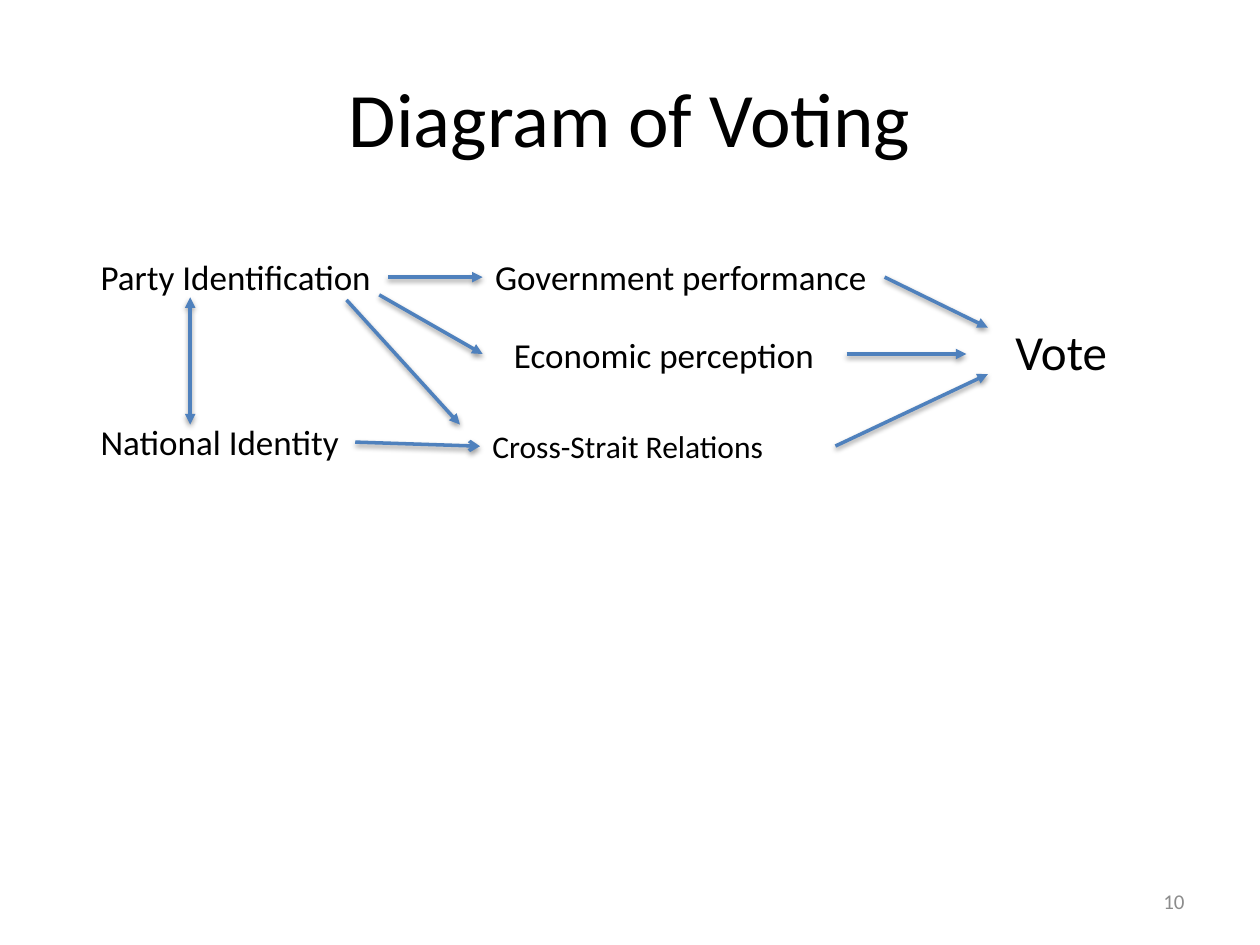
import pptx
import pptx.dml.color
import pptx.enum.shapes
import pptx.enum.text
import pptx.oxml
import pptx.oxml.ns
import pptx.util
from dataclasses import dataclass

Pt = pptx.util.Pt
RGB = pptx.dml.color.RGBColor
ALIGN = pptx.enum.text.PP_ALIGN
ANCHOR = pptx.enum.text.MSO_ANCHOR
TOP, LEFT, BOTTOM, RIGHT = range(4)


@dataclass(frozen=True)
class Theme:
    font: str = "Calibri"
    ink: str = "000000"
    muted: str = "8C8C8C"
    accent: str = "4F81BD"
    title: int = 44
    outcome: int = 28
    label: int = 20
    small_label: int = 18
    footer: int = 12
    line: int = 2


class Deck:
    def __init__(self, theme):
        self.theme = theme
        self.prs = pptx.Presentation()
        self.prs.slide_width, self.prs.slide_height = Pt(720), Pt(540)
        self.s = self.prs.slides.add_slide(self.prs.slide_layouts[6])

    def text(self, words, box, size, color=None, align=ALIGN.LEFT,
             anchor=ANCHOR.MIDDLE):
        sp = self.s.shapes.add_textbox(*map(Pt, box))
        tf = sp.text_frame
        tf.word_wrap = True
        tf.vertical_anchor = anchor
        p = tf.paragraphs[0]
        p.alignment = align
        r = p.add_run()
        r.text = words
        r.font.name, r.font.size = self.theme.font, Pt(size)
        r.font.color.rgb = RGB.from_string(color or self.theme.ink)
        return sp

    def label(self, words, box, size):
        """One-line text whose box fits the words."""
        sp = self.text(words, box, size, anchor=ANCHOR.TOP)
        sp.text_frame.word_wrap = False
        sp.text_frame.auto_size = pptx.enum.text.MSO_AUTO_SIZE.SHAPE_TO_FIT_TEXT
        return sp

    def arrow(self, start, end, tail="triangle", head=None):
        """Each end is an (x, y) point or a (shape, side) pair."""
        joins = [not isinstance(e[0], (int, float)) for e in (start, end)]
        points = [(0, 0) if j else e for j, e in zip(joins, (start, end))]
        c = self.s.shapes.add_connector(
            pptx.enum.shapes.MSO_CONNECTOR.STRAIGHT,
            *(Pt(v) for point in points for v in point))
        if joins[0]:
            c.begin_connect(*start)
        if joins[1]:
            c.end_connect(*end)
        c.line.color.rgb = RGB.from_string(self.theme.accent)
        c.line.width = Pt(self.theme.line)
        ns = pptx.oxml.ns.nsdecls("a")
        ln = c.line._get_or_add_ln()
        for tag, kind in (("headEnd", head), ("tailEnd", tail)):
            if kind:
                ln.append(pptx.oxml.parse_xml(f'<a:{tag} {ns} type="{kind}"/>'))
        # Soft shadow straight below the line
        c._element.spPr.append(pptx.oxml.parse_xml(
            f'<a:effectLst {ns}><a:outerShdw blurRad="{Pt(3.1)}" '
            f'dist="{Pt(1.6)}" dir="5400000" rotWithShape="0">'
            '<a:srgbClr val="000000"><a:alpha val="38000"/></a:srgbClr>'
            '</a:outerShdw></a:effectLst>'))
        return c


def main():
    t = Theme()
    d = Deck(t)

    # Title and slide number
    d.text("Diagram of Voting", (36, 21.6, 648, 90), t.title, align=ALIGN.CENTER)
    d.text("10", (516, 500.4, 168, 28.8), t.footer, t.muted, ALIGN.RIGHT)

    # Causes, factors and outcome
    party = d.label("Party Identification", (50.4, 142.6, 171.4, 31.5), t.label)
    identity = d.label("National Identity", (50.4, 236.9, 152.6, 31.5), t.label)
    government = d.label("Government performance", (275.8, 142.6, 229.7, 31.5), t.label)
    d.label("Economic perception", (286.6, 187.2, 188.6, 31.5), t.label)
    relations = d.label("Cross-Strait Relations", (274.3, 240.5, 172, 29), t.small_label)
    d.label("Vote", (573.1, 180, 69.1, 41.2), t.outcome)

    # Arrows from the causes
    d.arrow((party, RIGHT), (government, LEFT))
    d.arrow((216.7, 168.5), (275.8, 202.3))
    d.arrow((198, 171.4), (262.8, 242.6))
    d.arrow((108.7, 169.9), (108.7, 242.6), head="triangle")
    d.arrow((identity, RIGHT), (relations, LEFT), tail="arrow")

    # Arrows to the vote
    d.arrow((government, RIGHT), (564.5, 187.2))
    d.arrow((483.8, 202.3), (552.2, 202.3))
    d.arrow((477.4, 254.9), (564.5, 213.8))

    d.prs.save("out.pptx")


if __name__ == "__main__":
    main()
